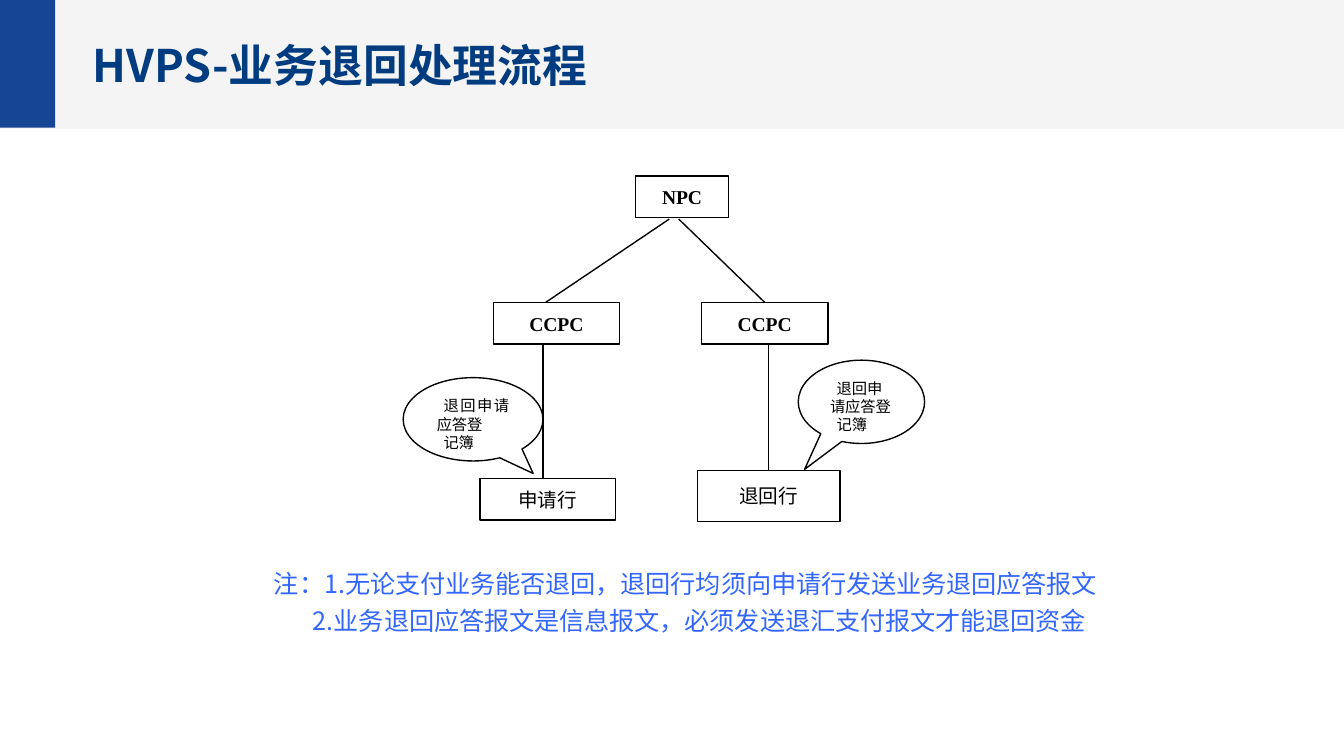
import pptx
import pptx.util
import pptx.dml.color
import pptx.enum.shapes
import pptx.enum.text
import pptx.oxml.ns
from lxml import etree

Inches, Pt = pptx.util.Inches, pptx.util.Pt
Kind = pptx.enum.shapes.MSO_SHAPE
Align = pptx.enum.text.PP_ALIGN
Anchor = pptx.enum.text.MSO_ANCHOR
qn = pptx.oxml.ns.qn

INK = {"band": "D5D5D5", "bar": "174595", "title": "013C80",
       "note": "3366FF", "line": "000000", "paper": "FFFFFF"}
SANS, SERIF = "Noto Sans CJK SC", "Times New Roman"


def tint(name):
    return pptx.dml.color.RGBColor.from_string(INK[name])


def shape(slide, kind, box, fill, line=None):
    item = slide.shapes.add_shape(kind, *map(Inches, box))
    item.shadow.inherit = False
    item.fill.solid()
    item.fill.fore_color.rgb = tint(fill)
    if line:
        item.line.color.rgb = tint(line)
        item.line.width = Pt(0.75)
    else:
        item.line.fill.background()
    return item


def write(item, rows, size, ink, font=SANS, bold=False, align=Align.LEFT,
          anchor=Anchor.TOP, wrap=True, gap=0):
    """Fill item with rows of (text, first-line indent in inches)."""
    frame = item.text_frame
    frame.word_wrap = wrap
    frame.vertical_anchor = anchor
    for i, (text, indent) in enumerate(rows):
        para = frame.add_paragraph() if i else frame.paragraphs[0]
        para.alignment = align
        para.space_before = Pt(gap if i else 0)
        props = para._p.get_or_add_pPr()
        props.set("marL", "0")
        props.set("indent", str(Inches(indent)))
        run = para.add_run()
        run.text = text
        look = {"size": Pt(size), "name": font, "bold": bold}
        for key, value in look.items():
            setattr(run.font, key, value)
        run.font.color.rgb = tint(ink)
        east = etree.SubElement(run._r.get_or_add_rPr(), qn("a:ea"))
        east.set("typeface", SANS)


def label(slide, box, rows, **look):
    write(slide.shapes.add_textbox(*map(Inches, box)), rows, **look)


def header(slide, x, y, w, h):
    band = shape(slide, Kind.RECTANGLE, (x - 0.01, y, w, h), "band")
    color = band.fill._xPr.find(qn("a:solidFill"))[0]
    etree.SubElement(color, qn("a:alpha")).set("val", "24000")
    shape(slide, Kind.RECTANGLE, (x, y, 0.41, h - 0.01), "bar")
    label(slide, (x + 0.59, y + 0.21, 6.42, 0.56),
          [("HVPS-业务退回处理流程", 0)], size=24, ink="title",
          bold=True, anchor=Anchor.MIDDLE)


def node(slide, box, text, bold):
    item = shape(slide, Kind.RECTANGLE, box, "paper", "line")
    write(item, [(text, 0)], 10.5, "line", SERIF, bold,
          Align.CENTER, Anchor.MIDDLE, False)


def link(slide, x1, y1, x2, y2):
    line = slide.shapes.add_connector(
        pptx.enum.shapes.MSO_CONNECTOR.STRAIGHT,
        *map(Inches, (x1, y1, x2, y2)))
    line.line.color.rgb = tint("line")
    line.line.width = Pt(0.75)
    etree.SubElement(line._element.spPr, qn("a:effectLst"))


def bubble(slide, box, tip, align):
    item = shape(slide, Kind.OVAL_CALLOUT, box, "paper", "line")
    for i, value in enumerate(tip):
        item.adjustments[i] = value
    write(item, [("退回申请应答登", 0.05), ("记簿", 0.05)],
          8.2, "line", align=align)


def tree(slide, x, y):
    """Draw the NPC, its two CCPC branches and their banks."""
    node(slide, (x + 1.73, y, 0.69, 0.31), "NPC", True)
    for left in (0.67, 2.22):
        node(slide, (x + left, y + 0.94, 0.94, 0.31), "CCPC", True)
    node(slide, (x + 0.57, y + 2.25, 1.01, 0.31), "申请行", False)
    node(slide, (x + 2.19, y + 2.19, 1.06, 0.38), "退回行", False)
    for x1, y1, x2, y2 in ((1.98, 0.32, 1.06, 0.94),
                           (2.05, 0.32, 2.69, 0.94),
                           (1.04, 1.25, 1.04, 2.25),
                           (2.72, 1.25, 2.72, 2.19)):
        link(slide, x + x1, y + y1, x + x2, y + y2)
    bubble(slide, (x, y + 1.5, 1.04, 0.62), (0.43, 0.65), Align.JUSTIFY)
    bubble(slide, (x + 2.94, y + 1.37, 0.94, 0.62), (-0.45, 0.81),
           Align.LEFT)


def notes(slide, box):
    label(slide, box, [
        ("注：1.无论支付业务能否退回，退回行均须向申请行发送业务退回应答报文", 0),
        ("2.业务退回应答报文是信息报文，必须发送退汇支付报文才能退回资金", 0.29),
    ], size=13.5, ink="note", gap=3.7)


def main():
    deck = pptx.Presentation()
    deck.slide_width = Inches(10)
    deck.slide_height = deck.slide_width * 9 // 16
    slide = deck.slides.add_slide(deck.slide_layouts[6])
    header(slide, 0, -0.01, 10.02, 0.97)
    tree(slide, 3, 1.31)
    notes(slide, (1.94, 4.18, 6.85, 0.61))
    deck.save("out.pptx")


if __name__ == "__main__":
    main()
